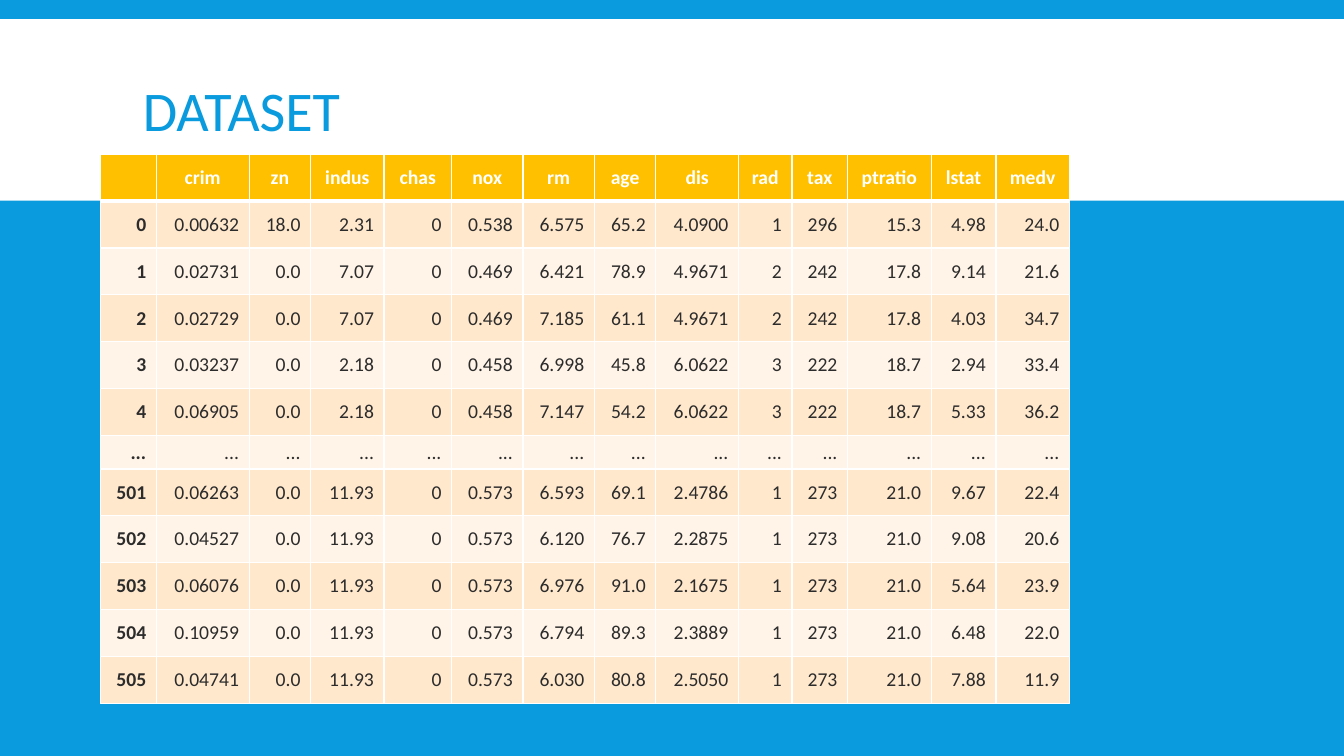
import pptx
import pptx.dml.color
import pptx.enum.shapes
import pptx.enum.text
import pptx.oxml
import pptx.oxml.ns
import pptx.util
from pptx.util import Cm

COLORS = {
    "blue": "099BDD",
    "white": "FFFFFF",
    "amber": "FFC000",
    "peach": "FFE8CC",
    "cream": "FFF4E7",
    "ink": "2C2C2C",
}
FONT = "Calibri"
SLIDE_WIDTH, SLIDE_HEIGHT = 33.87, 19.05

HEADINGS = "crim zn indus chas nox rm age dis rad tax ptratio lstat medv".split()
RECORDS = [
    "0 0.00632 18.0 2.31 0 0.538 6.575 65.2 4.0900 1 296 15.3 4.98 24.0",
    "1 0.02731 0.0 7.07 0 0.469 6.421 78.9 4.9671 2 242 17.8 9.14 21.6",
    "2 0.02729 0.0 7.07 0 0.469 7.185 61.1 4.9671 2 242 17.8 4.03 34.7",
    "3 0.03237 0.0 2.18 0 0.458 6.998 45.8 6.0622 3 222 18.7 2.94 33.4",
    "4 0.06905 0.0 2.18 0 0.458 7.147 54.2 6.0622 3 222 18.7 5.33 36.2",
    " ".join(["..."] * 14),
    "501 0.06263 0.0 11.93 0 0.573 6.593 69.1 2.4786 1 273 21.0 9.67 22.4",
    "502 0.04527 0.0 11.93 0 0.573 6.120 76.7 2.2875 1 273 21.0 9.08 20.6",
    "503 0.06076 0.0 11.93 0 0.573 6.976 91.0 2.1675 1 273 21.0 5.64 23.9",
    "504 0.10959 0.0 11.93 0 0.573 6.794 89.3 2.3889 1 273 21.0 6.48 22.0",
    "505 0.04741 0.0 11.93 0 0.573 6.030 80.8 2.5050 1 273 21.0 7.88 11.9",
]
ROWS = [[""] + HEADINGS] + [record.split() for record in RECORDS]
COLUMN_WIDTHS = [1.4, 2.34, 1.55, 1.85, 1.7, 1.8, 1.8,
                 1.55, 2.08, 1.35, 1.4, 2.11, 1.63, 1.85]
ROW_HEIGHT, GAP_ROW_HEIGHT = 1.18, 0.7


def rgb(name):
    return pptx.dml.color.RGBColor.from_string(COLORS[name])


def add_span(para, text, size, color, bold=False):
    span = para.add_run()
    span.text = text
    span.font.name = FONT
    span.font.size = pptx.util.Pt(size)
    span.font.bold = bold
    span.font.color.rgb = rgb(color)


def set_borders(cell, widths):
    """Draw white cell borders; widths maps each side to points."""
    properties = cell._tc.get_or_add_tcPr()
    for position, (side, points) in enumerate(widths.items()):
        line = pptx.oxml.parse_xml(
            f'<a:ln{side} {pptx.oxml.ns.nsdecls("a")} w="{pptx.util.Pt(points)}">'
            f'<a:solidFill><a:srgbClr val="{COLORS["white"]}"/></a:solidFill>'
            f'</a:ln{side}>')
        properties.insert(position, line)


def add_header_band(page, left, top, width, height):
    band = page.shapes.add_shape(
        pptx.enum.shapes.MSO_SHAPE.RECTANGLE,
        Cm(left), Cm(top), Cm(width), Cm(height))
    band.shadow.inherit = False
    band.fill.solid()
    band.fill.fore_color.rgb = rgb("white")
    band.line.fill.background()


def add_title(page, text, left, top, width, height):
    box = page.shapes.add_textbox(Cm(left), Cm(top), Cm(width), Cm(height))
    frame = box.text_frame
    frame.word_wrap = True
    frame.vertical_anchor = pptx.enum.text.MSO_ANCHOR.MIDDLE
    para = frame.paragraphs[0]
    para.line_spacing = 0.85
    add_span(para, text, 40, "blue")


def fill_cell(cell, text, row, column):
    is_heading = row == 0
    cell.vertical_anchor = pptx.enum.text.MSO_ANCHOR.MIDDLE
    cell.fill.solid()
    fill = "amber" if is_heading else "peach" if row % 2 else "cream"
    cell.fill.fore_color.rgb = rgb(fill)
    # A heavier rule separates the headings from the records
    set_borders(cell, {"L": 1, "R": 1,
                       "T": 3 if row == 1 else 1,
                       "B": 3 if is_heading else 1})
    if text:
        para = cell.text_frame.paragraphs[0]
        align = pptx.enum.text.PP_ALIGN
        para.alignment = align.CENTER if is_heading else align.RIGHT
        add_span(para, text, 14, "white" if is_heading else "ink",
                 bold=is_heading or column == 0)


def add_data_table(page, left, top, width, height):
    table = page.shapes.add_table(
        len(ROWS), len(COLUMN_WIDTHS),
        Cm(left), Cm(top), Cm(width), Cm(height)).table
    for column, column_width in zip(table.columns, COLUMN_WIDTHS):
        column.width = Cm(column_width)
    for row, values in enumerate(ROWS):
        is_gap = values[0] == "..."
        table.rows[row].height = Cm(GAP_ROW_HEIGHT if is_gap else ROW_HEIGHT)
        for column, text in enumerate(values):
            fill_cell(table.cell(row, column), text, row, column)


def build_dataset_page(deck):
    page = deck.slides.add_slide(deck.slide_layouts[6])
    page.background.fill.solid()
    page.background.fill.fore_color.rgb = rgb("blue")
    # Header
    add_header_band(page, 0, 0.48, SLIDE_WIDTH, 4.58)
    add_title(page, "DATASET", 3.35, 0.79, 27.18, 4.19)
    # Data
    add_data_table(page, 2.54, 3.89, sum(COLUMN_WIDTHS), 13.77)


def main():
    deck = pptx.Presentation()
    deck.slide_width = Cm(SLIDE_WIDTH)
    deck.slide_height = Cm(SLIDE_HEIGHT)
    build_dataset_page(deck)
    deck.save("out.pptx")


if __name__ == "__main__":
    main()
